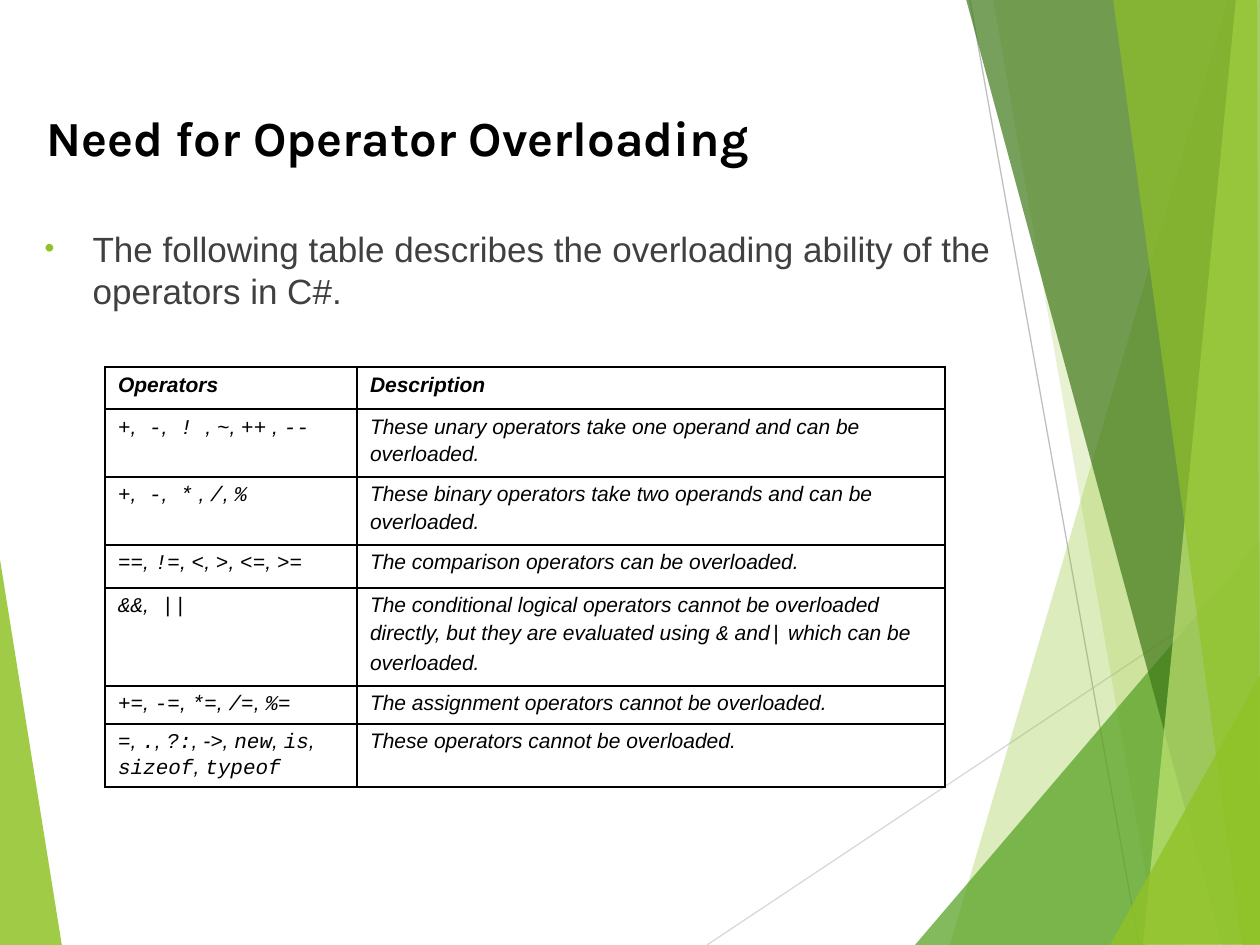
from collections import namedtuple

from lxml.etree import SubElement, fromstring
from pptx import Presentation
from pptx.dml.color import RGBColor
from pptx.enum.shapes import MSO_CONNECTOR
from pptx.enum.text import MSO_ANCHOR, MSO_AUTO_SIZE, PP_ALIGN
from pptx.oxml.ns import nsdecls, qn
from pptx.util import Pt

SCALE = 914400 / 126
Box = namedtuple("Box", "left top width height")

COLORS = {
    "black": "000000", "text": "404040", "lime": "90C226", "pale": "C0E474",
    "green": "54A021", "forest": "3F7819", "light_line": "D9D9D9", "line": "BFBFBF",
}

# Colour, opacity in percent, corners
LEFT_FACET = ("lime", 85, [(-1, 553), (62, 946), (-1, 945)])
RIGHT_FACETS = [
    ("lime", 30, [(1228, 0), (950, 945), (1262, 946), (1261, 1)]),
    ("lime", 20, [(993, -1), (1158, 945), (1261, 945), (1261, -1)]),
    ("green", 72, [(915, 945), (1260, 541), (1261, 945)]),
    ("forest", 70, [(966, -1), (1222, 945), (1261, 944), (1261, -1)]),
    ("pale", 70, [(1236, -1), (1143, 945), (1261, 945), (1260, -1)]),
    ("lime", 65, [(1113, -1), (1242, 945), (1260, 945), (1257, -1)]),
    ("lime", 80, [(1110, 945), (1261, 674), (1261, 944)]),
]
RAYS = [
    ("light_line", (707, 945), (1261, 576)),
    ("line", (970, 0), (1139, 945)),
]

# Text between backticks is code
COLUMN_WIDTHS = [252, 588]
HEADER = ("Operators", "Description")
ROWS = [
    (68, ["`+`,` -`,` ! `, `~`, `++` , `--`"],
     ["These unary operators take one operand and can be", "overloaded."]),
    (68, ["`+`,` -`,` *` , `/`, `%`"],
     ["These binary operators take two operands and can be", "overloaded."]),
    (43, ["`==`, `!=`, `<`, `>`, `<=`, `>=`"],
     ["The comparison operators can be overloaded."]),
    (98, ["`&&`,` ||`"],
     ["The conditional logical operators cannot be overloaded",
      "directly, but they are evaluated using `&` and`|` which can be",
      "overloaded."]),
    (38, ["`+=`, `-=`, `*=`, `/=`, `%=`"],
     ["The assignment operators cannot be overloaded."]),
    (63, ["`=`, `.`, `?:`, ->, `new`, `is`,", "`sizeof`, `typeof`"],
     ["These operators cannot be overloaded."]),
]


def emu(pixels):
    """Turn pixels into EMU."""
    return round(pixels * SCALE)


def rgb(name):
    """Look up a named colour."""
    return RGBColor.from_string(COLORS[name])


def place(shape, box):
    """Move a shape to a box."""
    shape.left, shape.top, shape.width, shape.height = map(emu, box)


def add_span(para, text, font, size, color, bold=False, italic=False):
    """Add one formatted run."""
    span = para.add_run()
    span.text = text
    span.font.name, span.font.size = font, Pt(size)
    span.font.bold, span.font.italic = bold, italic
    span.font.color.rgb = rgb(color)


def add_facet(page, box, color, opacity, corners):
    """Draw one translucent polygon."""
    points = [(emu(box.left + x), emu(box.top + y)) for x, y in corners]
    builder = page.shapes.build_freeform(*points[0], scale=1.0)
    builder.add_line_segments(points[1:], close=True)
    facet = builder.convert_to_shape()
    facet.shadow.inherit = False
    facet.line.fill.background()
    facet.fill.solid()
    facet.fill.fore_color.rgb = rgb(color)
    fill_color = next(facet.element.spPr.iter(qn("a:srgbClr")))
    SubElement(fill_color, qn("a:alpha"), val=str(opacity * 1000))


def add_ray(page, box, color, start, end):
    """Draw one thin straight line."""
    ends = [emu(box[axis] + point[axis]) for point in (start, end) for axis in (0, 1)]
    ray = page.shapes.add_connector(MSO_CONNECTOR.STRAIGHT, *ends)
    ray.line.color.rgb = rgb(color)
    ray.line.width = Pt(0.75)
    SubElement(ray.element.spPr, qn("a:effectLst"))


def add_decoration(page, box):
    """Draw the facets and rays behind the content."""
    add_facet(page, box, *LEFT_FACET)
    for ray in RAYS:
        add_ray(page, box, *ray)
    for facet in RIGHT_FACETS:
        add_facet(page, box, *facet)


def bring_to_front(shape):
    """Put a placeholder above what has been drawn so far."""
    shape.element.getparent().append(shape.element)


def fill_title(page, box):
    """Write the slide title."""
    title = page.shapes.title
    place(title, box)
    bring_to_front(title)
    frame = title.text_frame
    frame.auto_size = MSO_AUTO_SIZE.NONE
    frame.vertical_anchor = MSO_ANCHOR.TOP
    frame.word_wrap = True
    para = frame.paragraphs[0]
    para.alignment = PP_ALIGN.LEFT
    add_span(para, "Need for Operator Overloading", "Karla", 28, "black", bold=True)


def fill_body(page, box):
    """Write the bulleted introduction."""
    body = page.placeholders[1]
    place(body, box)
    bring_to_front(body)
    frame = body.text_frame
    frame.auto_size = MSO_AUTO_SIZE.NONE
    para = frame.paragraphs[0]
    para.space_before = Pt(10)
    add_span(para, "The following table describes the overloading ability of the "
             "operators in C#.", "Arial", 20, "text")
    properties = para.runs[0].font and body.element.find(".//" + qn("a:pPr"))
    properties.set("marL", str(emu(48)))
    properties.set("indent", str(emu(-48)))
    bullet_color = SubElement(properties, qn("a:buClr"))
    SubElement(bullet_color, qn("a:srgbClr"), val=COLORS["lime"])
    SubElement(properties, qn("a:buSzPct"), val="80000")
    SubElement(properties, qn("a:buFont"), typeface="Arial")
    SubElement(properties, qn("a:buChar"), char="•")


def fill_cell(cell, lines, bold):
    """Write the lines of a cell, switching font at each backtick."""
    cell.fill.background()
    cell.margin_left = cell.margin_right = emu(13)
    cell.margin_top = cell.margin_bottom = emu(6)
    frame = cell.text_frame
    for number, line in enumerate(lines):
        para = frame.add_paragraph() if number else frame.paragraphs[0]
        if number and "`sizeof`" not in line:
            para.space_before = Pt(2.4)
        for part, text in enumerate(line.split("`")):
            if text:
                font = "Courier New" if part % 2 else "Arial"
                add_span(para, text, font, 12, "black", bold, italic=True)


def add_borders(table_frame):
    """Give every cell thin black borders."""
    for properties in table_frame.element.iter(qn("a:tcPr")):
        for index, side in enumerate("LRTB"):
            properties.insert(index, fromstring(
                f'<a:ln{side} {nsdecls("a")} w="12700"><a:solidFill>'
                f'<a:srgbClr val="{COLORS["black"]}"/></a:solidFill></a:ln{side}>'))


def add_operator_table(page, box):
    """Build the table of operators."""
    rows = [(42, *([text] for text in HEADER))] + ROWS
    table_frame = page.shapes.add_table(len(rows), len(HEADER), *map(emu, box))
    table = table_frame.table
    table.first_row = table.horz_banding = False
    for column, width in zip(table.columns, COLUMN_WIDTHS):
        column.width = emu(width)
    for number, (height, *contents) in enumerate(rows):
        table.rows[number].height = emu(height)
        for cell, lines in zip(table.rows[number].cells, contents):
            fill_cell(cell, lines, bold=number == 0)
    add_borders(table_frame)


def main():
    """Build and save the deck."""
    deck = Presentation()
    deck.slide_width, deck.slide_height = emu(1260), emu(945)
    page = deck.slides.add_slide(deck.slide_layouts[1])
    add_decoration(page, Box(0, 0, 1260, 945))
    fill_title(page, Box(34, 101, 1143, 72))
    fill_body(page, Box(32, 221, 1008, 624))
    add_operator_table(page, Box(105, 367, 840, 420))
    deck.save("out.pptx")


main()
